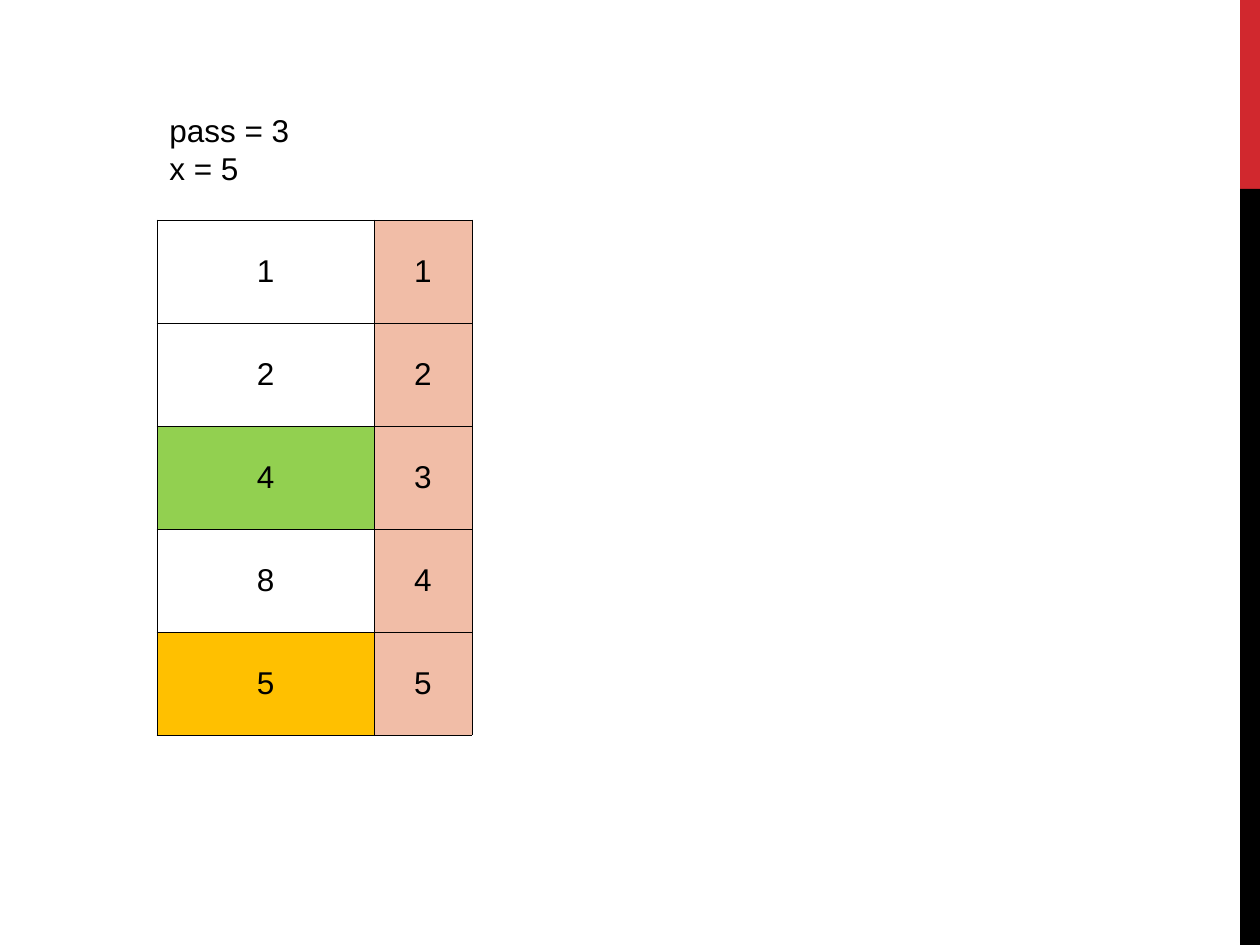
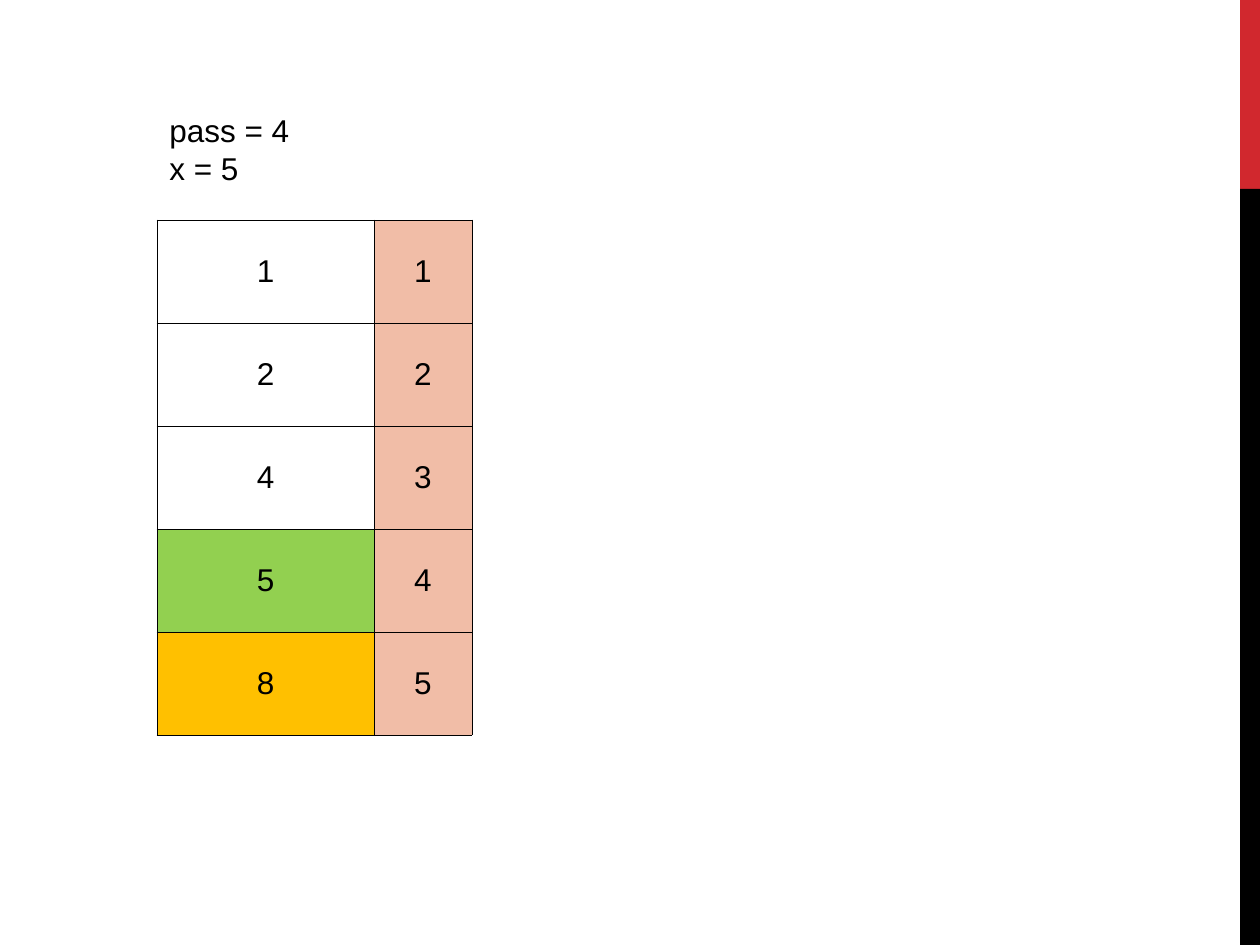
"""Build two slides that trace passes 3 and 4 of a selection sort."""
from lxml import etree
from pptx import Presentation
from pptx.dml.color import RGBColor
from pptx.enum.shapes import MSO_SHAPE
from pptx.enum.text import MSO_ANCHOR, MSO_AUTO_SIZE, PP_ALIGN
from pptx.oxml.ns import qn
from pptx.util import Pt

PASSES = [
    {"pass": 3, "x": 5, "values": [1, 2, 4, 8, 5]},
    {"pass": 4, "x": 5, "values": [1, 2, 4, 5, 8]},
]

COLORS = {
    "accent": "D1282E",
    "ink": "000000",
    "plain": "FFFFFF",
    "index": "F1BDA7",
    "pass": "92D050",
    "x": "FFC000",
}
FONT = "Arial"
FONT_SIZE = Pt(18)
BORDER_WIDTH = Pt(0.45)

RECTANGLE = MSO_SHAPE.RECTANGLE
MIDDLE = MSO_ANCHOR.MIDDLE
CENTER = PP_ALIGN.CENTER
LEFT = PP_ALIGN.LEFT
FIT_SHAPE = MSO_AUTO_SIZE.SHAPE_TO_FIT_TEXT

PX_PER_INCH = 126
SLIDE_WIDTH, SLIDE_HEIGHT = 1260, 945
BAND_WIDTH, ACCENT_HEIGHT = 20, 189
CONTENT_LEFT = 157
STATE_TOP, STATE_WIDTH, STATE_HEIGHT = 105, 231, 88
TABLE_TOP, ROW_HEIGHT = 220, 103
COLUMN_WIDTHS = [217, 98]


def px(length):
    """Turn px into EMU."""
    return round(length * 914400 / PX_PER_INCH)


def color(name):
    """Look up a named colour."""
    return RGBColor.from_string(COLORS[name])


def write(paragraph, text, alignment=LEFT):
    """Add one styled run to a paragraph."""
    paragraph.alignment = alignment
    run = paragraph.add_run()
    run.text = text
    run.font.name = FONT
    run.font.size = FONT_SIZE
    run.font.color.rgb = color("ink")


def add_side_band(slide):
    """Draw the two-colour band on the right edge."""
    parts = [
        ("accent", 0, ACCENT_HEIGHT),
        ("ink", ACCENT_HEIGHT, SLIDE_HEIGHT - ACCENT_HEIGHT),
    ]
    for name, top, height in parts:
        shape = slide.shapes.add_shape(
            RECTANGLE, px(SLIDE_WIDTH - BAND_WIDTH), px(top), px(BAND_WIDTH), px(height)
        )
        shape.shadow.inherit = False
        shape.fill.solid()
        shape.fill.fore_color.rgb = color(name)
        shape.line.fill.background()


def add_borders(cell):
    """Put a thin line on every side of a cell."""
    properties = cell._tc.get_or_add_tcPr()
    for side in ("lnL", "lnR", "lnT", "lnB"):
        line = etree.SubElement(properties, qn(f"a:{side}"), w=str(int(BORDER_WIDTH)))
        fill = etree.SubElement(line, qn("a:solidFill"))
        etree.SubElement(fill, qn("a:srgbClr"), val=COLORS["ink"])


def add_array(slide, state):
    """Show the array with its indexes, marking the pass and x positions."""
    values = state["values"]
    table = slide.shapes.add_table(
        len(values), len(COLUMN_WIDTHS), px(CONTENT_LEFT), px(TABLE_TOP),
        px(sum(COLUMN_WIDTHS)), px(ROW_HEIGHT * len(values))
    ).table
    table.first_row = False
    table.horz_banding = False
    for column, width in zip(table.columns, COLUMN_WIDTHS):
        column.width = px(width)
    marks = {state[name]: name for name in ("pass", "x")}
    for index, value in enumerate(values, start=1):
        table.rows[index - 1].height = px(ROW_HEIGHT)
        row = [(value, marks.get(index, "plain")), (index, "index")]
        for column, (number, fill_name) in enumerate(row):
            cell = table.cell(index - 1, column)
            cell.vertical_anchor = MIDDLE
            add_borders(cell)
            cell.fill.solid()
            cell.fill.fore_color.rgb = color(fill_name)
            write(cell.text_frame.paragraphs[0], str(number), CENTER)


def add_state(slide, state):
    """Write the loop variables above the array."""
    frame = slide.shapes.add_textbox(
        px(CONTENT_LEFT), px(STATE_TOP), px(STATE_WIDTH), px(STATE_HEIGHT)
    ).text_frame
    frame.word_wrap = True
    frame.auto_size = FIT_SHAPE
    write(frame.paragraphs[0], f"pass = {state['pass']}")
    write(frame.add_paragraph(), f"x = {state['x']}")


def main():
    """Build and save the presentation."""
    presentation = Presentation()
    presentation.slide_width = px(SLIDE_WIDTH)
    presentation.slide_height = px(SLIDE_HEIGHT)
    for state in PASSES:
        slide = presentation.slides.add_slide(presentation.slide_layouts[6])
        add_side_band(slide)
        add_array(slide, state)
        add_state(slide, state)
    presentation.save("out.pptx")


if __name__ == "__main__":
    main()
